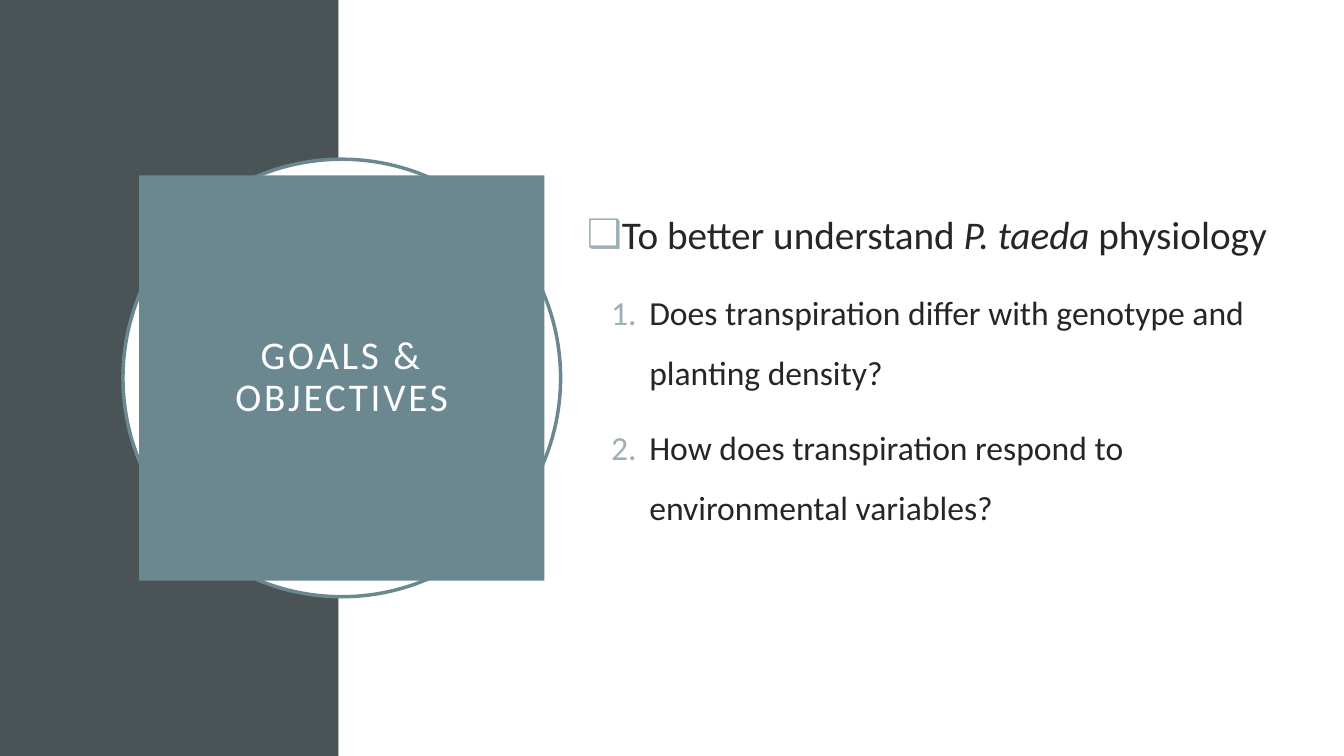
from lxml import etree
from pptx import Presentation
from pptx.dml.color import RGBColor
from pptx.enum import shapes, text
from pptx.oxml import ns
from pptx.util import Inches, Pt

SLATE = RGBColor(0x4A, 0x53, 0x56)
TEAL = RGBColor(0x6B, 0x88, 0x91)
PALE_TEAL = RGBColor(0x9B, 0xAF, 0xB5)
INK = RGBColor(0x26, 0x26, 0x26)
WHITE = RGBColor(0xFF, 0xFF, 0xFF)
FONT = "Calibri"

TITLE = "GOALS & OBJECTIVES"
GOAL = [("To better understand ", False), ("P. taeda ", True), ("physiology", False)]
QUESTIONS = [
    "Does transpiration differ with genotype and planting density?",
    "How does transpiration respond to environmental variables?",
]


def place(shape, left, top, width, height):
    shape.left, shape.top = Inches(left), Inches(top)
    shape.width, shape.height = Inches(width), Inches(height)


def add_filled(slide, kind, box, fill):
    shape = slide.shapes.add_shape(kind, *(Inches(length) for length in box))
    shape.shadow.inherit = False
    shape.fill.solid()
    shape.fill.fore_color.rgb = fill
    shape.line.fill.background()
    return shape


def style_font(font, size, color):
    font.name, font.size, font.color.rgb = FONT, Pt(size), color


def set_bullet(paragraph, indent, hanging, tag, **attributes):
    properties = paragraph._p.get_or_add_pPr()
    properties.set("marL", str(Inches(indent)))
    properties.set("indent", str(-Inches(hanging)))
    color = etree.SubElement(properties, ns.qn("a:buClr"))
    etree.SubElement(color, ns.qn("a:srgbClr"), val=str(PALE_TEAL))
    etree.SubElement(properties, ns.qn(tag), **attributes)


def build_backdrop(slide, band_width, width, height):
    """Dark band on the left, white panel on the rest."""
    rectangle = shapes.MSO_SHAPE.RECTANGLE
    add_filled(slide, rectangle, (0, 0, band_width, height), SLATE)
    add_filled(slide, rectangle, (band_width, 0, width - band_width, height), WHITE)


def build_title(slide, left, top, size, margin):
    """Ring with the title block centred inside it."""
    ring = add_filled(slide, shapes.MSO_SHAPE.OVAL, (left, top, size, size), WHITE)
    ring.line.color.rgb = TEAL
    ring.line.width = Pt(2.5)

    title = slide.shapes.title
    side = size - 2 * margin
    place(title, left + margin, top + margin, side, side)
    title.fill.solid()
    title.fill.fore_color.rgb = TEAL
    slide.shapes.element.append(title.element)  # bring in front of the ring

    frame = title.text_frame
    frame.text = TITLE
    frame.word_wrap = True
    frame.auto_size = text.MSO_AUTO_SIZE.NONE
    frame.vertical_anchor = text.MSO_ANCHOR.MIDDLE
    frame.margin_left = frame.margin_right = Inches(0.2)
    frame.margin_top = frame.margin_bottom = Inches(0.2)
    paragraph = frame.paragraphs[0]
    paragraph.alignment = text.PP_ALIGN.CENTER
    paragraph.line_spacing = 0.9
    run = paragraph.runs[0]
    style_font(run.font, 28, WHITE)
    run.font._element.set("spc", "200")


def build_objectives(slide, left, top, width, height):
    """Goal with its numbered research questions."""
    body = slide.placeholders[1]
    place(body, left, top, width, height)
    slide.shapes.element.append(body.element)  # bring in front of the panel
    frame = body.text_frame
    frame.word_wrap = True
    frame.auto_size = text.MSO_AUTO_SIZE.NONE
    frame.vertical_anchor = text.MSO_ANCHOR.MIDDLE

    goal = frame.paragraphs[0]
    set_bullet(goal, 0.25, 0.25, "a:buChar", char="❑")
    goal.space_before = Pt(0)
    for words, italic in GOAL:
        run = goal.add_run()
        run.text = words
        style_font(run.font, 28, INK)
        run.font.italic = italic

    for words in QUESTIONS:
        question = frame.add_paragraph()
        question.text = words
        question.level = 1
        set_bullet(question, 0.62, 0.38, "a:buAutoNum", type="arabicPeriod")
        question.space_before = Pt(10)
        style_font(question.runs[0].font, 24, INK)

    for paragraph in frame.paragraphs:
        paragraph.line_spacing = 1.5


def main():
    presentation = Presentation()
    presentation.slide_width = Inches(13.33)
    presentation.slide_height = Inches(7.5)
    slide = presentation.slides.add_slide(presentation.slide_layouts[1])
    build_backdrop(slide, 3.36, 13.33, 7.5)
    build_title(slide, 1.22, 1.58, 4.34, 0.16)
    build_objectives(slide, 5.72, 1.33, 7.04, 4.43)
    presentation.save("out.pptx")


if __name__ == "__main__":
    main()
